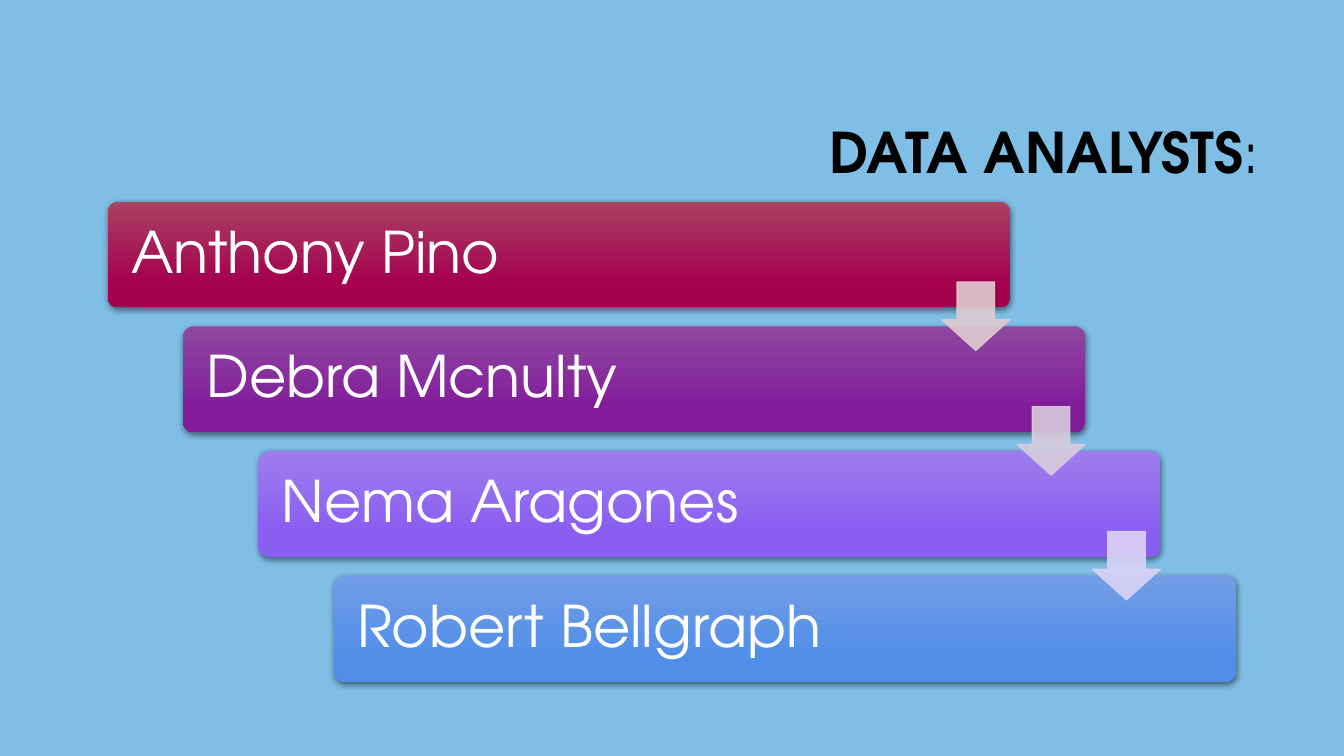
"""Build the data analysts slide: a staircase of name bars joined by arrows."""
from lxml.etree import SubElement
from pptx import Presentation
from pptx.dml.color import RGBColor
from pptx.enum.shapes import MSO_SHAPE as Shape
from pptx.enum.text import MSO_ANCHOR as Anchor, PP_ALIGN as Align
from pptx.oxml import parse_xml
from pptx.oxml.ns import nsdecls, qn
from pptx.util import Pt

FONT = "TeX Gyre Adventor"
SHADOW = (
    f'<a:outerShdw {nsdecls("a")} blurRad="57150" dist="19050" dir="5400000" '
    'algn="ctr" rotWithShape="0"><a:srgbClr val="000000">'
    '<a:alpha val="48000"/></a:srgbClr></a:outerShdw>'
)


def color(code):
    return RGBColor.from_string(code)


def write(par, text, size, code, bold=False):
    run = par.add_run()
    run.text = text
    run.font.name = FONT
    run.font.size = Pt(size)
    run.font.bold = bold
    run.font.color.rgb = color(code)


deck = Presentation()
deck.slide_width, deck.slide_height = Pt(960), Pt(540)
slide = deck.slides.add_slide(deck.slide_layouts[6])
slide.background.fill.solid()
slide.background.fill.fore_color.rgb = color("7FBEE5")

title = slide.shapes.add_textbox(Pt(228.2), Pt(60.5), Pt(678.2), Pt(101.5))
frame = title.text_frame
frame.word_wrap = True
frame.vertical_anchor = Anchor.MIDDLE
par = frame.paragraphs[0]
par.alignment = Align.RIGHT
par.line_spacing = 0.9
write(par, "DATA ANALYSTS", 40, "000000", True)
write(par, ":", 40, "000000")

STEP_X, STEP_Y = 53.8, 89.1
people = [
    ("Anthony Pino", "A94263", "A4004E"),
    ("Debra Mcnulty", "8D48A0", "831C9A"),
    ("Nema Aragones", "9D7DED", "8A5EF1"),
    ("Robert Bellgraph", "729DE5", "518EE9"),
]
for i, (name, light, dark) in enumerate(people):
    left, top = 77 + i * STEP_X, 144 + i * STEP_Y
    bar = slide.shapes.add_shape(
        Shape.ROUNDED_RECTANGLE, Pt(left), Pt(top), Pt(644.4), Pt(75.6))
    bar.adjustments[0] = 0.1
    bar.fill.gradient()
    bar.fill.gradient_angle = 270
    for stop, place, code in zip(bar.fill.gradient_stops, (0, 0.78), (light, dark)):
        stop.position = place
        stop.color.rgb = color(code)
    bar.line.fill.background()
    bar.shadow.inherit = False
    bar._element.spPr.find(qn("a:effectLst")).append(parse_xml(SHADOW))
    frame = bar.text_frame
    frame.word_wrap = True
    frame.vertical_anchor = Anchor.MIDDLE
    frame.margin_left = frame.margin_right = Pt(14.4)
    par = frame.paragraphs[0]
    par.alignment = Align.LEFT
    par.line_spacing = 0.9
    write(par, name, 41, "FFFFFF")

for i, code in enumerate(("DFCCD0", "D8CDDC", "DBD3F7")):
    left, top = 672.5 + i * STEP_X, 201.4 + i * STEP_Y
    arrow = slide.shapes.add_shape(
        Shape.DOWN_ARROW, Pt(left), Pt(top), Pt(49), Pt(49))
    arrow.adjustments[0] = 0.55
    arrow.adjustments[1] = 0.45
    arrow.line.width = Pt(0.75)
    for fill in (arrow.fill, arrow.line.fill):
        fill.solid()
        fill.fore_color.rgb = color(code)
    arrow.shadow.inherit = False
    for tint in arrow._element.spPr.iter(qn("a:srgbClr")):
        SubElement(tint, qn("a:alpha")).set("val", "90000")

deck.save("out.pptx")
